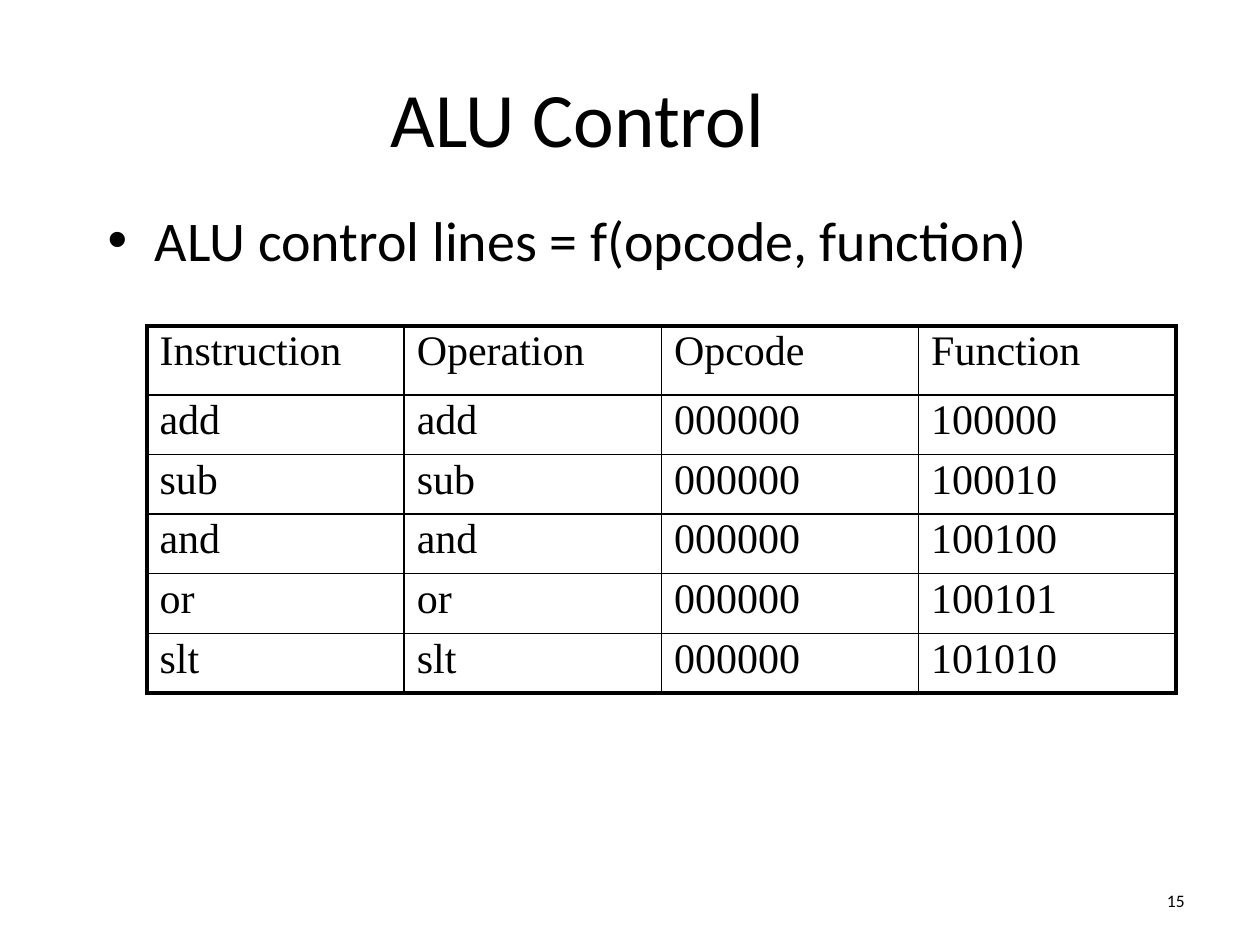
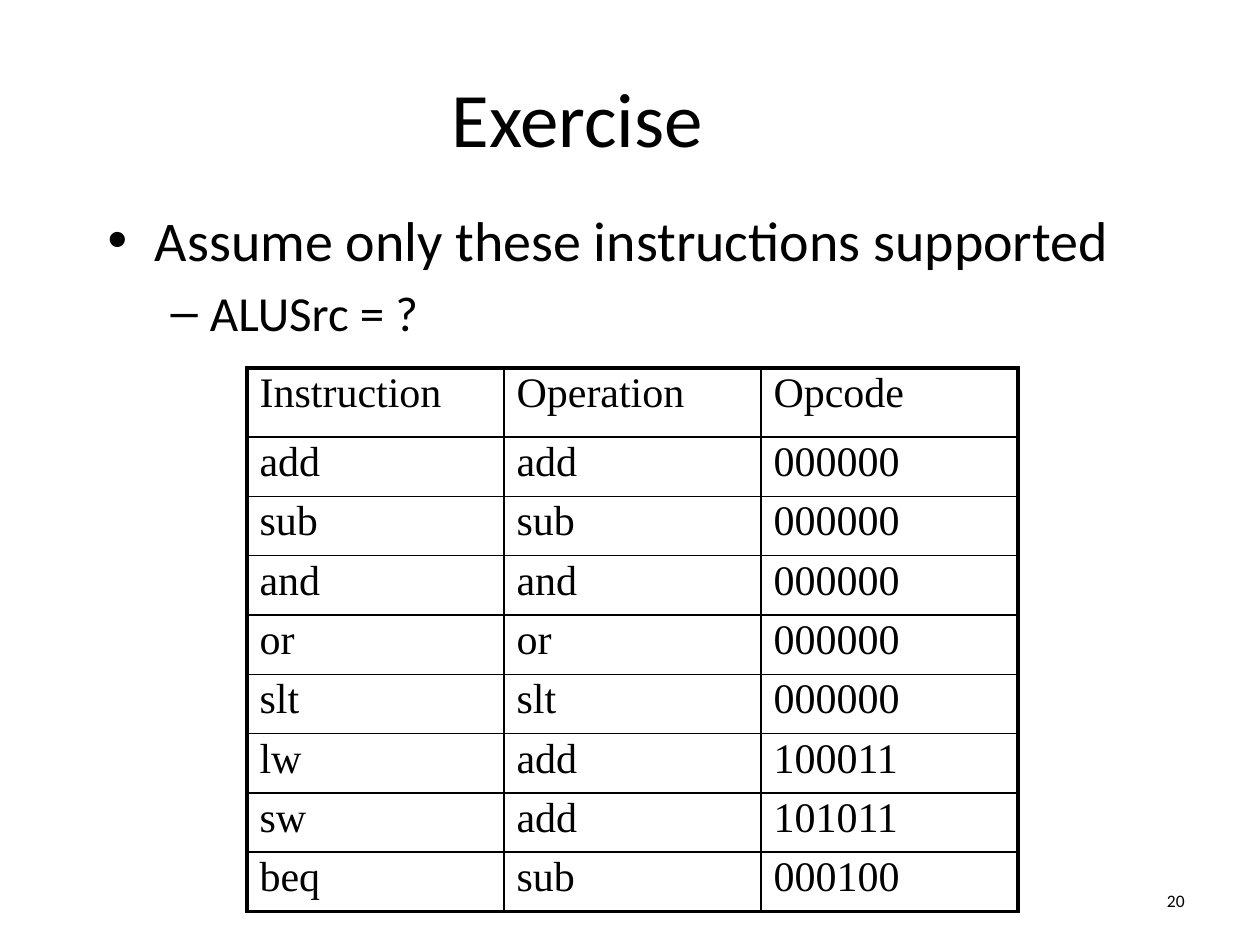
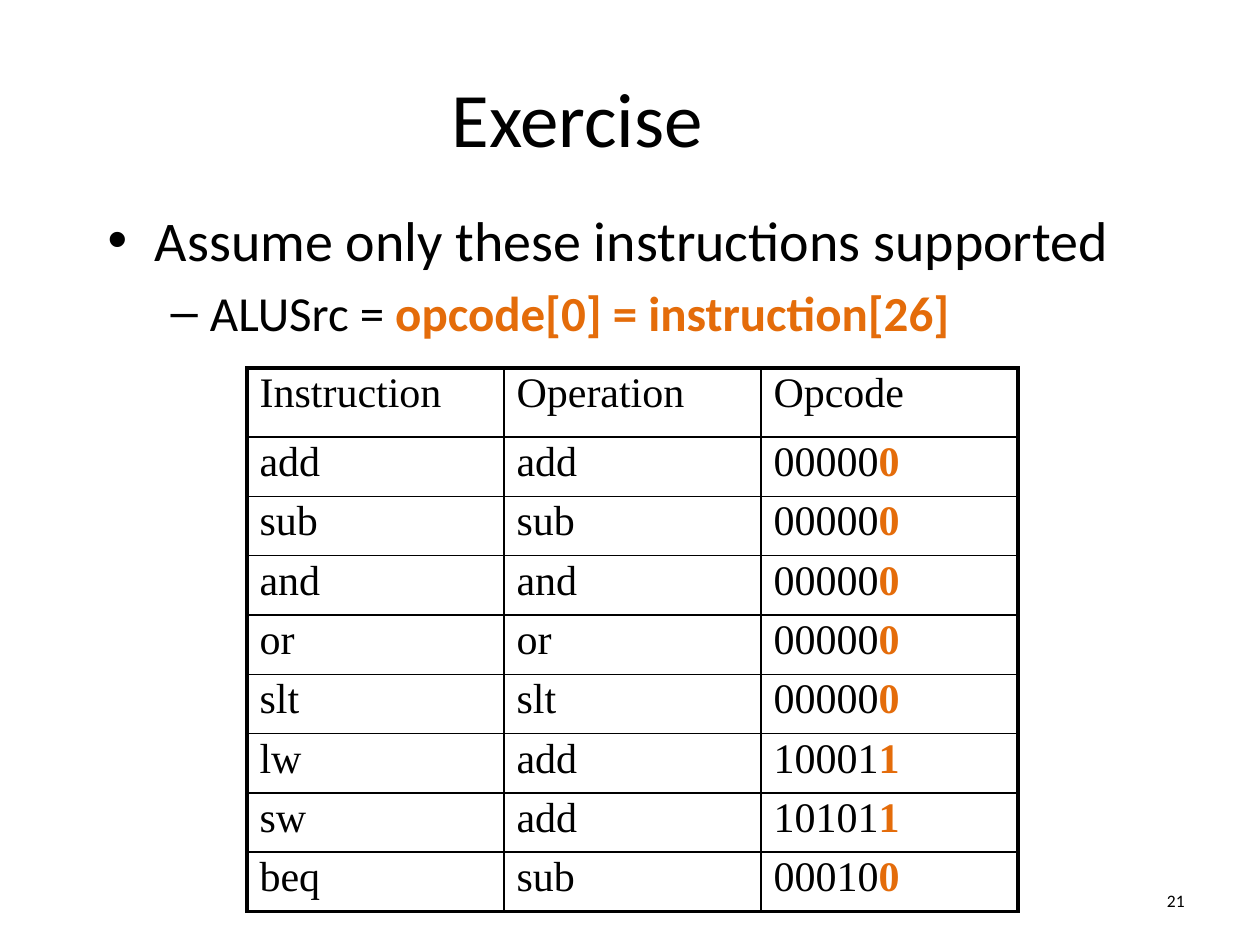
from lxml import etree
from pptx import Presentation
from pptx.dml.color import RGBColor
from pptx.enum.text import MSO_ANCHOR, MSO_AUTO_SIZE, PP_ALIGN
from pptx.oxml.ns import qn
from pptx.util import Pt

PX = 914400 / 126
BLACK = RGBColor(0x00, 0x00, 0x00)
ORANGE = RGBColor(0xE4, 0x6C, 0x0A)
WHITE = RGBColor(0xFF, 0xFF, 0xFF)
SANS, SERIF = "Calibri", "Times New Roman"
CENTER, RIGHT = PP_ALIGN.CENTER, PP_ALIGN.RIGHT
MIDDLE = MSO_ANCHOR.MIDDLE
NO_FIT = MSO_AUTO_SIZE.NONE
THIN, THICK = Pt(1), Pt(2.25)
HEADER_HEIGHT = 69


def px(*lengths):
    return [round(length * PX) for length in lengths]


def write(para, text, font_name, size):
    """Add the text as runs; every part after a bar sign is orange and bold."""
    for index, part in enumerate(text.split("|")):
        span = para.add_run()
        span.text = part
        span.font.name = font_name
        span.font.size = Pt(size)
        span.font.bold = index > 0
        span.font.color.rgb = ORANGE if index else BLACK


# Table content
alu_rows = [
    ["Instruction", "Operation", "Opcode", "Function"],
    ["add", "add", "000000", "100000"],
    ["sub", "sub", "000000", "100010"],
    ["and", "and", "000000", "100100"],
    ["or", "or", "000000", "100101"],
    ["slt", "slt", "000000", "101010"],
]
exercise_rows = [row[:3] for row in alu_rows] + [
    ["lw", "add", "100011"],
    ["sw", "add", "101011"],
    ["beq", "sub", "000100"],
]
answer_rows = exercise_rows[:1] + [
    [name, operation, f"{opcode[:-1]}|{opcode[-1]}"]
    for name, operation, opcode in exercise_rows[1:]
]

# Title, bullets, body height, table box, table rows, page number
assumption = "Assume only these instructions supported"
exercise_box = (247, 368, 771, 544)
pages = [
    ("ALU Control", ["ALU control lines = f(opcode, function)"], 105,
     (147, 326, 1029, 367), alu_rows, "15"),
    ("Exercise", [assumption, "ALUSrc = ?"], 158,
     exercise_box, exercise_rows, "20"),
    ("Exercise", [assumption, "ALUSrc = |opcode[0] = instruction[26]"], 158,
     exercise_box, answer_rows, "21"),
]

deck = Presentation()
deck.slide_width, deck.slide_height = px(1260, 945)
layout = deck.slide_layouts[1]

# Shared title place
title = layout.placeholders[0]
title.left, title.top, title.width, title.height = px(63, 38, 1029, 158)

for heading, bullets, body_height, table_box, rows, number in pages:
    page = deck.slides.add_slide(layout)
    page.background.fill.solid()
    page.background.fill.fore_color.rgb = WHITE

    # Title
    title_frame = page.shapes.title.text_frame
    title_frame.vertical_anchor = MIDDLE
    title_frame.auto_size = NO_FIT
    title_frame.paragraphs[0].alignment = CENTER
    write(title_frame.paragraphs[0], heading, SANS, 44)

    # Bullets
    body = page.placeholders[1]
    body.left, body.top, body.width, body.height = px(95, 199, 1071, body_height)
    body_frame = body.text_frame
    body_frame.auto_size = NO_FIT
    for level, bullet in enumerate(bullets):
        para = body_frame.add_paragraph() if level else body_frame.paragraphs[0]
        para.level = level
        write(para, bullet, SANS, 32 - 4 * level)
    body_frame.paragraphs[0].space_before = Pt(0)

    # Table
    last_row, last_column = len(rows) - 1, len(rows[0]) - 1
    table = page.shapes.add_table(len(rows), len(rows[0]), *px(*table_box)).table
    table.first_row = table.horz_banding = False
    for column in table.columns:
        column.width = px(table_box[2] / len(rows[0]))[0]
    for index, table_row in enumerate(table.rows):
        height = (table_box[3] - HEADER_HEIGHT) / last_row if index else HEADER_HEIGHT
        table_row.height = px(height)[0]

    for row_index, row in enumerate(rows):
        for column_index, text in enumerate(row):
            cell = table.cell(row_index, column_index)
            para = cell.text_frame.paragraphs[0]
            para.line_spacing = 0.9
            para.space_before = Pt(0)
            write(para, text, SERIF, 24)

            # Thick lines around the table, thin lines inside
            outer_sides = {
                "a:lnL": column_index == 0,
                "a:lnR": column_index == last_column,
                "a:lnT": row_index == 0,
                "a:lnB": row_index == last_row,
            }
            properties = cell._tc.get_or_add_tcPr()
            for tag, is_outer in outer_sides.items():
                line = etree.SubElement(properties, qn(tag),
                                        w=str(THICK if is_outer else THIN))
                fill = etree.SubElement(line, qn("a:solidFill"))
                etree.SubElement(fill, qn("a:srgbClr"), val=str(BLACK))
            cell.fill.background()

    # Page number
    number_box = page.shapes.add_textbox(*px(1050, 876, 147, 50))
    number_frame = number_box.text_frame
    number_frame.word_wrap = True
    number_frame.vertical_anchor = MIDDLE
    number_frame.paragraphs[0].alignment = RIGHT
    write(number_frame.paragraphs[0], number, SANS, 10)

deck.save("out.pptx")
